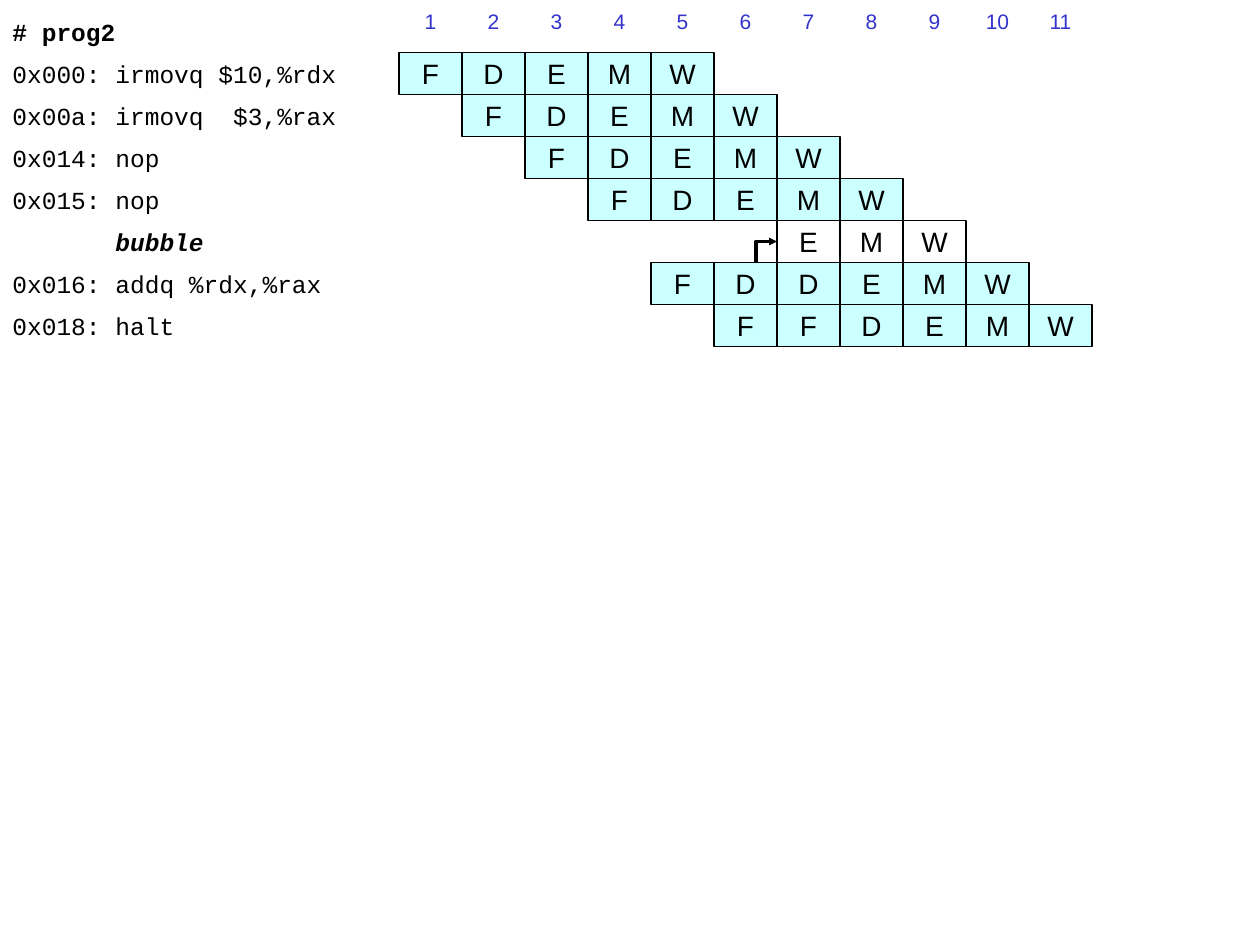
import lxml.etree
import pptx
import pptx.dml.color
import pptx.enum.shapes
import pptx.enum.text
import pptx.oxml.ns
import pptx.util

Pt = pptx.util.Pt
BLACK = pptx.dml.color.RGBColor(0x00, 0x00, 0x00)
WHITE = pptx.dml.color.RGBColor(0xFF, 0xFF, 0xFF)
CYAN = pptx.dml.color.RGBColor(0xCC, 0xFF, 0xFF)
BLUE = pptx.dml.color.RGBColor(0x33, 0x33, 0xCC)

GRID_LEFT, GRID_TOP = 228, 6
CELL_WIDTH, CELL_HEIGHT = 36, 24
LABEL_WIDTH = 204
CYCLES = 11

# Instruction, first cycle, stages
PIPELINE = [
    ("0x000: irmovq $10,%rdx", 1, "FDEMW"),
    ("0x00a: irmovq  $3,%rax", 2, "FDEMW"),
    ("0x014: nop", 3, "FDEMW"),
    ("0x015: nop", 4, "FDEMW"),
    ("       bubble", 7, "EMW"),
    ("0x016: addq %rdx,%rax", 5, "FDDEMW"),
    ("0x018: halt", 6, "FFDEMW"),
]
BUBBLE_ROW = 5


def cycle_left(cycle):
    return GRID_LEFT + (cycle - 1) * CELL_WIDTH


def row_top(row):
    return GRID_TOP + row * CELL_HEIGHT


class PipelineSlide:
    code_font, diagram_font = "Courier New", "Arial"
    code_size, cycle_size, stage_size = 14, 12, 16

    def __init__(self, page):
        self.page = page

    def box(self, text, left, top, width, fill, font, size, color):
        """Add a borderless one-line rectangle with centred text."""
        box = self.page.shapes.add_shape(
            pptx.enum.shapes.MSO_SHAPE.RECTANGLE,
            Pt(left), Pt(top), Pt(width), Pt(CELL_HEIGHT))
        box.shadow.inherit = False
        box.line.fill.background()
        if fill is None:
            box.fill.background()
        else:
            box.fill.solid()
            box.fill.fore_color.rgb = fill
        frame = box.text_frame
        frame.text = text
        frame.word_wrap = False
        frame.vertical_anchor = pptx.enum.text.MSO_ANCHOR.MIDDLE
        para = frame.paragraphs[0]
        para.alignment = pptx.enum.text.PP_ALIGN.CENTER
        span = para.runs[0]
        span.font.name = font
        span.font.size = Pt(size)
        span.font.color.rgb = color
        return box

    def code_label(self, text, row, bold=False, italic=False):
        box = self.box(text, 0, row_top(row), LABEL_WIDTH, WHITE,
                       self.code_font, self.code_size, BLACK)
        para = box.text_frame.paragraphs[0]
        para.alignment = pptx.enum.text.PP_ALIGN.LEFT
        para.runs[0].font.bold = bold
        para.runs[0].font.italic = italic

    def cycle_number(self, cycle):
        self.box(str(cycle), cycle_left(cycle), 0, CELL_WIDTH, WHITE,
                 self.diagram_font, self.cycle_size, BLUE)

    def stage(self, letter, cycle, row, fill):
        box = self.box(letter, cycle_left(cycle), row_top(row), CELL_WIDTH,
                       fill, self.diagram_font, self.stage_size, BLACK)
        box.line.color.rgb = BLACK
        box.line.width = Pt(1)

    def elbow_arrow(self, start, corner, end):
        builder = self.page.shapes.build_freeform(Pt(start[0]), Pt(start[1]))
        builder.add_line_segments(
            [(Pt(x), Pt(y)) for x, y in (corner, end)], close=False)
        arrow = builder.convert_to_shape()
        arrow.shadow.inherit = False
        arrow.fill.background()
        arrow.line.color.rgb = BLACK
        arrow.line.width = Pt(2.25)
        outline = arrow.element.spPr.find(pptx.oxml.ns.qn("a:ln"))
        lxml.etree.SubElement(outline, pptx.oxml.ns.qn("a:tailEnd"),
                              type="triangle", w="sm", len="sm")


def main():
    deck = pptx.Presentation()
    deck.slide_width, deck.slide_height = Pt(720), Pt(540)
    slide = PipelineSlide(deck.slides.add_slide(deck.slide_layouts[6]))

    slide.code_label("# prog2", 0, bold=True)
    for cycle in range(1, CYCLES + 1):
        slide.cycle_number(cycle)

    for row, (code, first_cycle, stages) in enumerate(PIPELINE, start=1):
        is_bubble = row == BUBBLE_ROW
        slide.code_label(code, row, bold=is_bubble, italic=is_bubble)
        for cycle, letter in enumerate(stages, start=first_cycle):
            slide.stage(letter, cycle, row, None if is_bubble else CYAN)

    # The stalled decode stage injects the bubble into execute
    bubble_left = cycle_left(7)
    stem = bubble_left - 12
    middle = row_top(BUBBLE_ROW) + CELL_HEIGHT / 2
    slide.elbow_arrow((stem, row_top(BUBBLE_ROW + 1)), (stem, middle),
                      (bubble_left, middle))

    deck.save("out.pptx")


if __name__ == "__main__":
    main()
